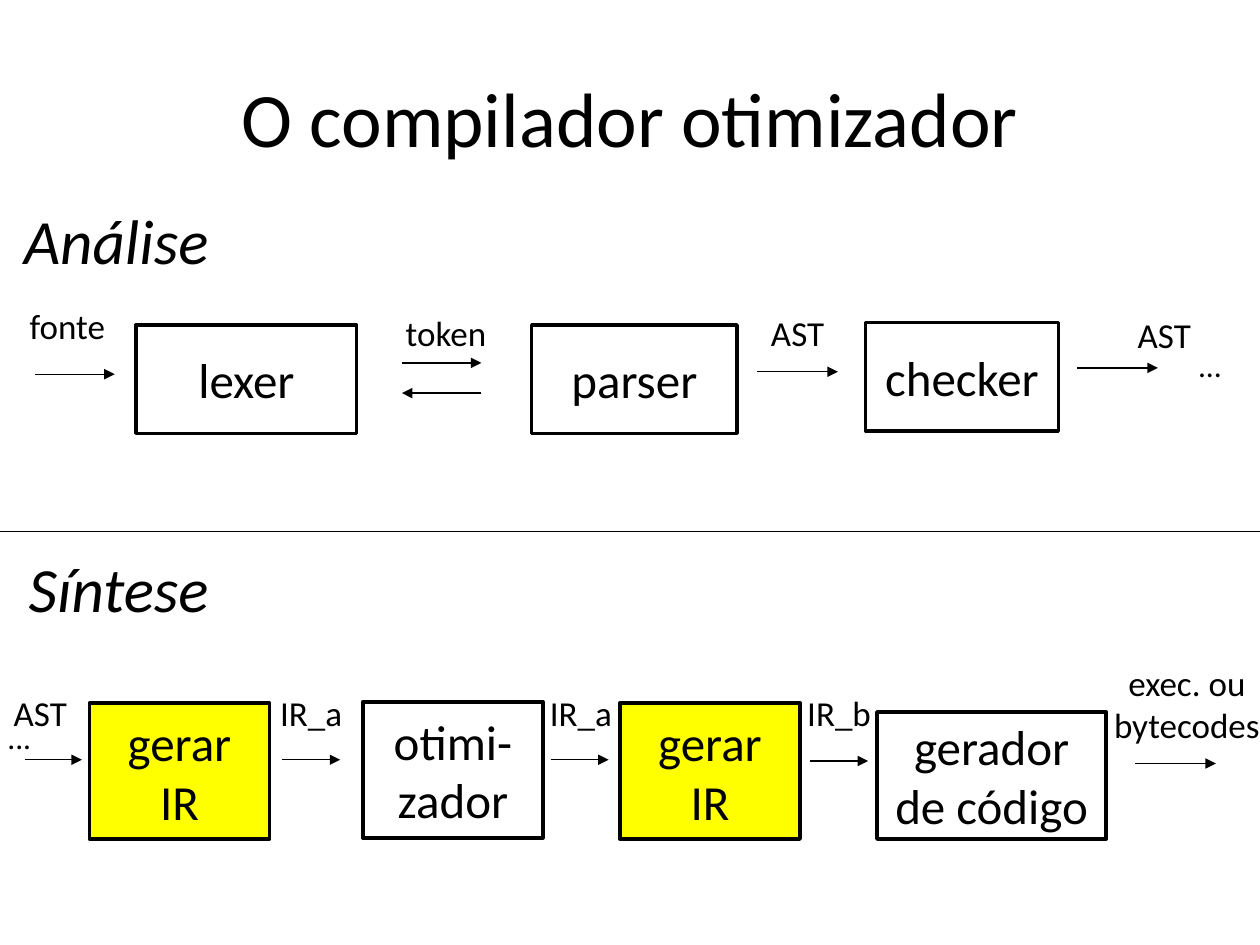
from lxml.etree import SubElement
from pptx import Presentation
from pptx.dml.color import RGBColor
from pptx.enum.shapes import MSO_CONNECTOR, MSO_SHAPE
from pptx.enum.text import MSO_ANCHOR, MSO_AUTO_SIZE, PP_ALIGN
from pptx.oxml.ns import qn
from pptx.util import Inches, Pt

THEME = {
    "font": "Calibri",
    "ink": RGBColor(0, 0, 0),
    "plain": RGBColor(255, 255, 255),
    "highlight": RGBColor(255, 255, 0),
    "title": 44, "section": 36, "stage": 28, "label": 20, "dots": 18,
    "border": 2, "arrow": 0.75,
}

TITLE = "O compilador otimizador"
DIVIDER_Y = 4.22

# lines, left, top, width, height, fill, inset, wrap
STAGES = [
    (["lexer"], 1.08, 2.58, 1.75, 0.86, "plain", 0.1, False),
    (["parser"], 4.22, 2.58, 1.63, 0.86, "plain", 0.1, False),
    (["checker"], 6.87, 2.56, 1.53, 0.86, None, 0.1, True),
    (["gerar", "IR"], 0.71, 5.58, 1.43, 1.08, "highlight", 0.05, True),
    (["otimi-", "zador"], 2.88, 5.57, 1.43, 1.08, "plain", 0.05, True),
    (["gerar", "IR"], 4.92, 5.58, 1.43, 1.08, "highlight", 0.05, True),
    (["gerador", "de código"], 6.96, 5.65, 1.82, 1.01, "plain", 0.1, False),
]

# text, left, top, width, height, side inset, wrap
FLOW_LABELS = [
    ("fonte", 0.13, 2.37, 0.81, 0.44, 0.1, False),
    ("token", 3.06, 2.42, 0.96, 0.44, 0.1, True),
    ("AST", 5.79, 2.42, 1.08, 0.44, 0.1, True),
    ("AST", 8.7, 2.44, 1.08, 0.44, 0.1, True),
    ("AST", -0.35, 5.44, 1.34, 0.44, 0.1, True),
    ("IR_a", 1.3, 5.44, 2.34, 0.44, 0.1, True),
    ("IR_a", 3.44, 5.44, 2.34, 0.44, 0.1, True),
    ("IR_b", 5.49, 5.44, 2.34, 0.44, 0.1, True),
    ("exec. ou bytecodes", 8.25, 5.2, 2.34, 0.77, 0.3, True),
]

# text, left, top, width, height
SECTIONS = [("Análise", 0.09, 1.55, 1.68, 0.71), ("Síntese", 0.13, 4.31, 1.64, 0.71)]
DOTS = [("...", 9.41, 2.7, 0.39, 0.4), ("...", -0.04, 5.65, 0.39, 0.4)]

# start x, end x, y
ARROWS = [
    (0.28, 0.91, 2.97), (3.19, 3.82, 2.88), (3.82, 3.19, 3.12),
    (6.01, 6.65, 2.95), (8.55, 9.19, 2.92),
    (0.2, 0.65, 6.03), (2.24, 2.7, 6.03), (4.37, 4.83, 6.03),
    (6.43, 6.89, 6.04), (9.01, 9.65, 6.06),
]


def write(frame, lines, size, align=PP_ALIGN.CENTER, italic=None):
    for index, line in enumerate(lines):
        paragraph = frame.paragraphs[0] if index == 0 else frame.add_paragraph()
        paragraph.alignment = align
        run = paragraph.add_run()
        run.text = line
        run.font.name = THEME["font"]
        run.font.size = Pt(THEME[size])
        run.font.color.rgb = THEME["ink"]
        run.font.italic = italic


def add_stage(slide, lines, left, top, width, height, fill, inset, wrap):
    stage = slide.shapes.add_shape(MSO_SHAPE.RECTANGLE, *map(Inches, (left, top, width, height)))
    stage.shadow.inherit = False
    if fill:
        stage.fill.solid()
        stage.fill.fore_color.rgb = THEME[fill]
    else:
        stage.fill.background()
    stage.line.color.rgb = THEME["ink"]
    stage.line.width = Pt(THEME["border"])
    frame = stage.text_frame
    frame.word_wrap = wrap
    frame.vertical_anchor = MSO_ANCHOR.MIDDLE
    frame.margin_left = frame.margin_right = Inches(inset)
    frame.margin_top = frame.margin_bottom = Inches(0.05)
    write(frame, lines, "stage")


def add_text(slide, text, left, top, width, height, inset=0.1, wrap=False,
             size="label", align=PP_ALIGN.CENTER, italic=None):
    frame = slide.shapes.add_textbox(*map(Inches, (left, top, width, height))).text_frame
    frame.word_wrap = wrap
    frame.auto_size = MSO_AUTO_SIZE.SHAPE_TO_FIT_TEXT
    frame.margin_left = frame.margin_right = Inches(inset)
    write(frame, [text], size, align, italic)


def add_level_line(slide, start, end, y, arrow=True):
    line = slide.shapes.add_connector(
        MSO_CONNECTOR.STRAIGHT, Inches(start), Inches(y), Inches(end), Inches(y))
    line.line.color.rgb = THEME["ink"]
    line.line.width = Pt(THEME["arrow"])
    if arrow:
        SubElement(line.line._get_or_add_ln(), qn("a:tailEnd"), type="triangle")
    SubElement(line._element.spPr, qn("a:effectLst"))


def main():
    deck = Presentation()
    deck.slide_width, deck.slide_height = Inches(10), Inches(7.5)
    slide = deck.slides.add_slide(deck.slide_layouts[5])

    title = slide.shapes.title
    title.left, title.top, title.width, title.height = map(Inches, (0.5, 0.3, 9, 1.25))
    title.text_frame.vertical_anchor = MSO_ANCHOR.MIDDLE
    write(title.text_frame, [TITLE], "title")

    for stage in STAGES:
        add_stage(slide, *stage)
    for label in FLOW_LABELS:
        add_text(slide, *label)
    for section in SECTIONS:
        add_text(slide, *section, size="section", align=PP_ALIGN.LEFT, italic=True)
    for dots in DOTS:
        add_text(slide, *dots, size="dots", align=PP_ALIGN.LEFT)
    for arrow in ARROWS:
        add_level_line(slide, *arrow)
    add_level_line(slide, 0, 10, DIVIDER_Y, arrow=False)

    deck.save("out.pptx")


if __name__ == "__main__":
    main()
